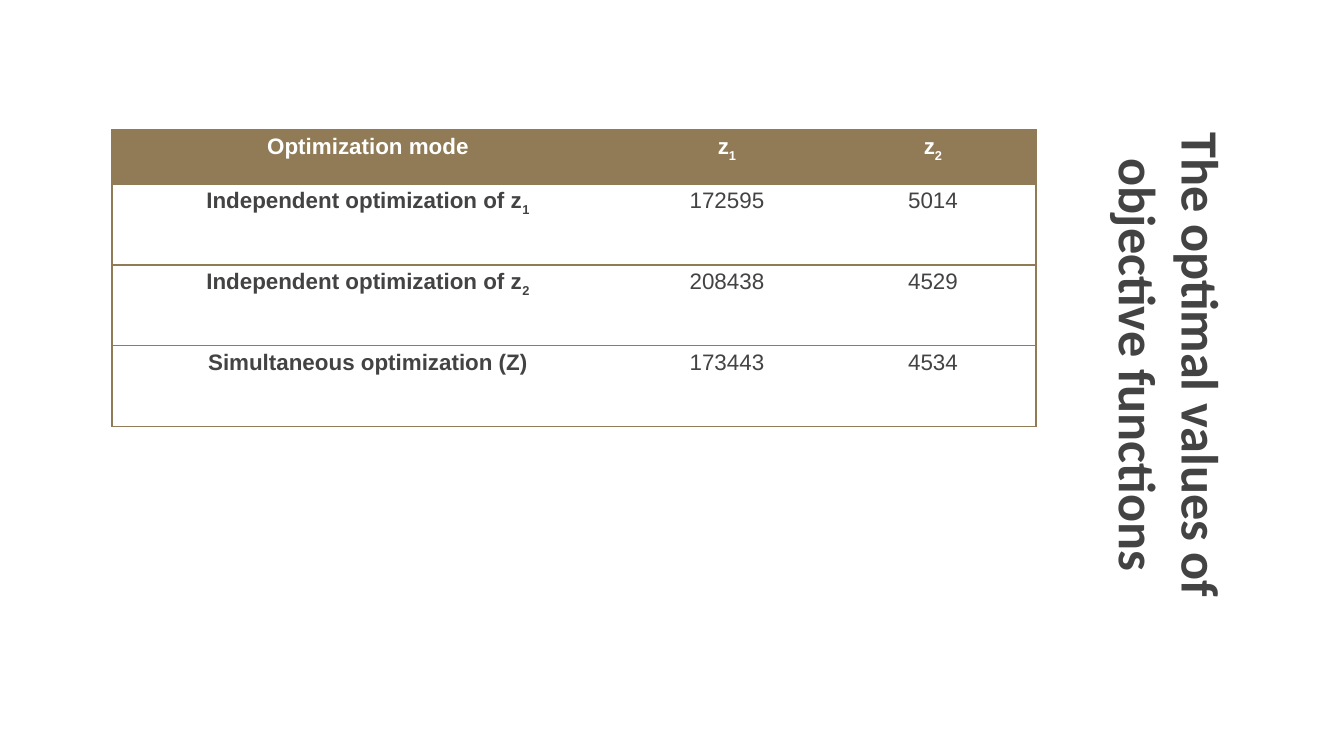
"""Build a slide with a table of optimal objective values and a rotated title."""
from lxml import etree
from pptx import Presentation
from pptx.dml.color import RGBColor
from pptx.enum.text import MSO_ANCHOR, MSO_AUTO_SIZE, PP_ALIGN
from pptx.oxml.ns import qn
from pptx.util import Pt

CENTER = PP_ALIGN.CENTER
TOP = MSO_ANCHOR.TOP
NO_FIT = MSO_AUTO_SIZE.NONE
PX = 9144000 / 1344
THEME = {
    "brown": "907B56", "ink": "434343", "white": "FFFFFF",
    "title_font": "Calibri", "table_font": "Arial",
    "title_size": 28, "table_size": 12, "border_width": 0.75,
}
COLUMN_WIDTHS = [512, 206, 206]
ROW_HEIGHTS = [54, 81, 81, 81]
ROWS = [
    ["Optimization mode", "z_1", "z_2"],
    ["Independent optimization of z_1", "172595", "5014"],
    ["Independent optimization of z_2", "208438", "4529"],
    ["Simultaneous optimization (Z)", "173443", "4534"],
]


def px(length):
    return round(length * PX)


def style_font(font, name, size, color, bold):
    font.name = THEME[name]
    font.size = Pt(THEME[size])
    font.color.rgb = RGBColor.from_string(THEME[color])
    font.bold = bold


deck = Presentation()
deck.slide_width, deck.slide_height = px(1344), px(756)
page = deck.slides.add_slide(deck.slide_layouts[5])

title = page.shapes.title
title.left, title.top, title.width, title.height = px(847), px(301), px(672), px(128)
title.rotation = 90
frame = title.text_frame
frame.text = "The optimal values of objective functions"
frame.word_wrap = True
frame.auto_size = NO_FIT
frame.vertical_anchor = TOP
frame.margin_left = frame.margin_right = frame.margin_top = frame.margin_bottom = px(13)
para = frame.paragraphs[0]
para.alignment = CENTER
style_font(para.runs[0].font, "title_font", "title_size", "ink", True)

table = page.shapes.add_table(
    len(ROWS), len(COLUMN_WIDTHS), px(112), px(130),
    px(sum(COLUMN_WIDTHS)), px(sum(ROW_HEIGHTS))).table
table.horz_banding = False
for column, width in zip(table.columns, COLUMN_WIDTHS):
    column.width = px(width)
for row, height in zip(table.rows, ROW_HEIGHTS):
    row.height = px(height)

last_column = len(COLUMN_WIDTHS) - 1
for row_index, values in enumerate(ROWS):
    header = row_index == 0
    for column_index, value in enumerate(values):
        cell = table.cell(row_index, column_index)
        cell.margin_left = cell.margin_right = px(9)
        cell.margin_top = cell.margin_bottom = 0
        cell.vertical_anchor = TOP

        properties = cell._tc.get_or_add_tcPr()
        edges = {"a:lnL": column_index == 0, "a:lnR": column_index == last_column,
                 "a:lnT": True, "a:lnB": True}
        for tag, visible in edges.items():
            edge = etree.SubElement(properties, qn(tag), w=str(Pt(THEME["border_width"])))
            if visible:
                fill = etree.SubElement(edge, qn("a:solidFill"))
                etree.SubElement(fill, qn("a:srgbClr"), val=THEME["brown"])
            else:
                etree.SubElement(edge, qn("a:noFill"))
        if header:
            cell.fill.solid()
            cell.fill.fore_color.rgb = RGBColor.from_string(THEME["brown"])
        else:
            cell.fill.background()

        para = cell.text_frame.paragraphs[0]
        para.alignment = CENTER
        para.line_spacing = 1.15
        for part_index, part in enumerate(value.split("_")):
            span = para.add_run()
            span.text = part
            style_font(span.font, "table_font", "table_size",
                       "white" if header else "ink", header or column_index == 0)
            if part_index:
                span._r.get_or_add_rPr().set("baseline", "-25000")

deck.save("out.pptx")
